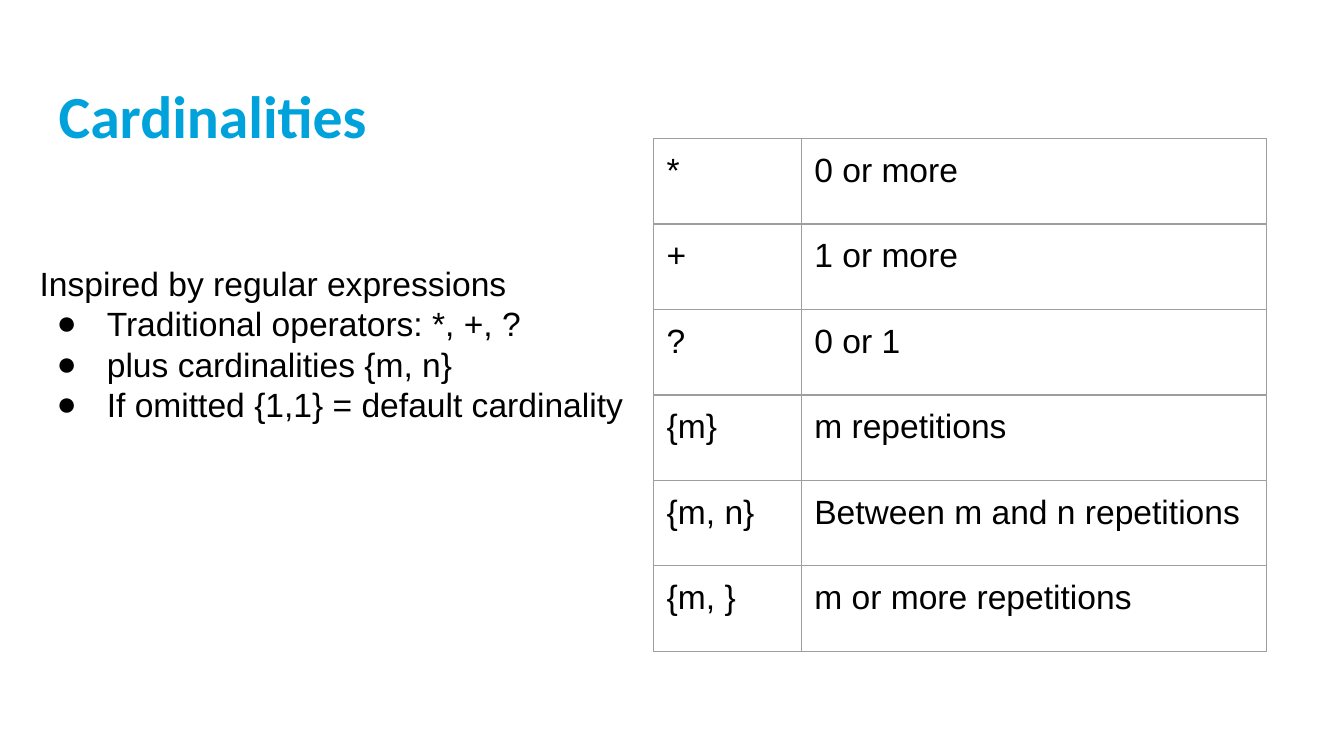
import pptx
import pptx.dml.color
import pptx.oxml
import pptx.oxml.ns
import pptx.util
from pptx.util import Cm

BLACK, BLUE, GREY = "000000", "00A2DB", "9E9E9E"
INSET = Cm(0.25)

OPERATORS = [
    ("*", "0 or more"),
    ("+", "1 or more"),
    ("?", "0 or 1"),
    ("{m}", "m repetitions"),
    ("{m, n}", "Between m and n repetitions"),
    ("{m, }", "m or more repetitions"),
]
NOTATIONS = [
    "Traditional operators: *, +, ?",
    "plus cardinalities {m, n}",
    "If omitted {1,1} = default cardinality",
]


def colour(value):
    return pptx.dml.color.RGBColor.from_string(value)


def add_xml(parent, tag, content="", **attributes):
    attrs = "".join(f' {name}="{value}"' for name, value in attributes.items())
    namespace = pptx.oxml.ns.nsdecls("a")
    parent.append(pptx.oxml.parse_xml(
        f"<a:{tag} {namespace}{attrs}>{content}</a:{tag}>"))


def write(paragraph, text, size=18, font="Arial", color=BLACK, bold=False, bullet=None):
    run = paragraph.add_run()
    run.text = text
    run.font.size = pptx.util.Pt(size)
    run.font.name = font
    run.font.bold = bold
    run.font.color.rgb = colour(color)
    if bullet:
        properties = paragraph._p.get_or_add_pPr()
        properties.set("marL", str(Cm(1.27)))
        properties.set("indent", str(-Cm(0.95)))
        add_xml(properties, "buClr", f'<a:srgbClr val="{color}"/>')
        add_xml(properties, "buFont", typeface=font)
        add_xml(properties, "buChar", char=bullet)


def set_insets(holder):
    holder.margin_left = holder.margin_right = INSET
    holder.margin_top = holder.margin_bottom = INSET


def add_text_frame(slide, box):
    frame = slide.shapes.add_textbox(*box).text_frame
    frame.word_wrap = True
    set_insets(frame)
    return frame


def add_title(slide, box):
    frame = add_text_frame(slide, box)
    write(frame.paragraphs[0], "Cardinalities", size=32, font="Calibri", color=BLUE, bold=True)


def add_explanation(slide, box):
    frame = add_text_frame(slide, box)
    write(frame.paragraphs[0], "Inspired by regular expressions")
    for notation in NOTATIONS:
        write(frame.add_paragraph(), notation, bullet="●")


def add_operator_table(slide, box, operator_width):
    left, top, width, height = box
    table = slide.shapes.add_table(len(OPERATORS), 2, left, top, width, height).table
    table.first_row = table.horz_banding = False
    table.columns[0].width = operator_width
    table.columns[1].width = width - operator_width
    for row, texts in enumerate(OPERATORS):
        for column, text in enumerate(texts):
            cell = table.cell(row, column)
            set_insets(cell)
            write(cell.text_frame.paragraphs[0], text)
            # Borders come before the fill in the cell properties
            properties = cell._tc.get_or_add_tcPr()
            for side in ("lnL", "lnR", "lnT", "lnB"):
                add_xml(properties, side,
                        f'<a:solidFill><a:srgbClr val="{GREY}"/></a:solidFill>',
                        w=pptx.util.Pt(0.75))
            cell.fill.background()


def main():
    deck = pptx.Presentation()
    deck.slide_width, deck.slide_height = Cm(25.4), Cm(14.29)
    slide = deck.slides.add_slide(deck.slide_layouts[6])

    # Heading
    add_title(slide, (Cm(0.86), Cm(1.24), Cm(23.67), Cm(1.6)))
    # Explanation on the left
    add_explanation(slide, (Cm(0.5), Cm(4.72), Cm(12.52), Cm(3.73)))
    # Operators and their meaning on the right
    add_operator_table(slide, (Cm(12.35), Cm(2.62), Cm(11.58), Cm(9.69)), Cm(2.79))

    deck.save("out.pptx")


if __name__ == "__main__":
    main()
